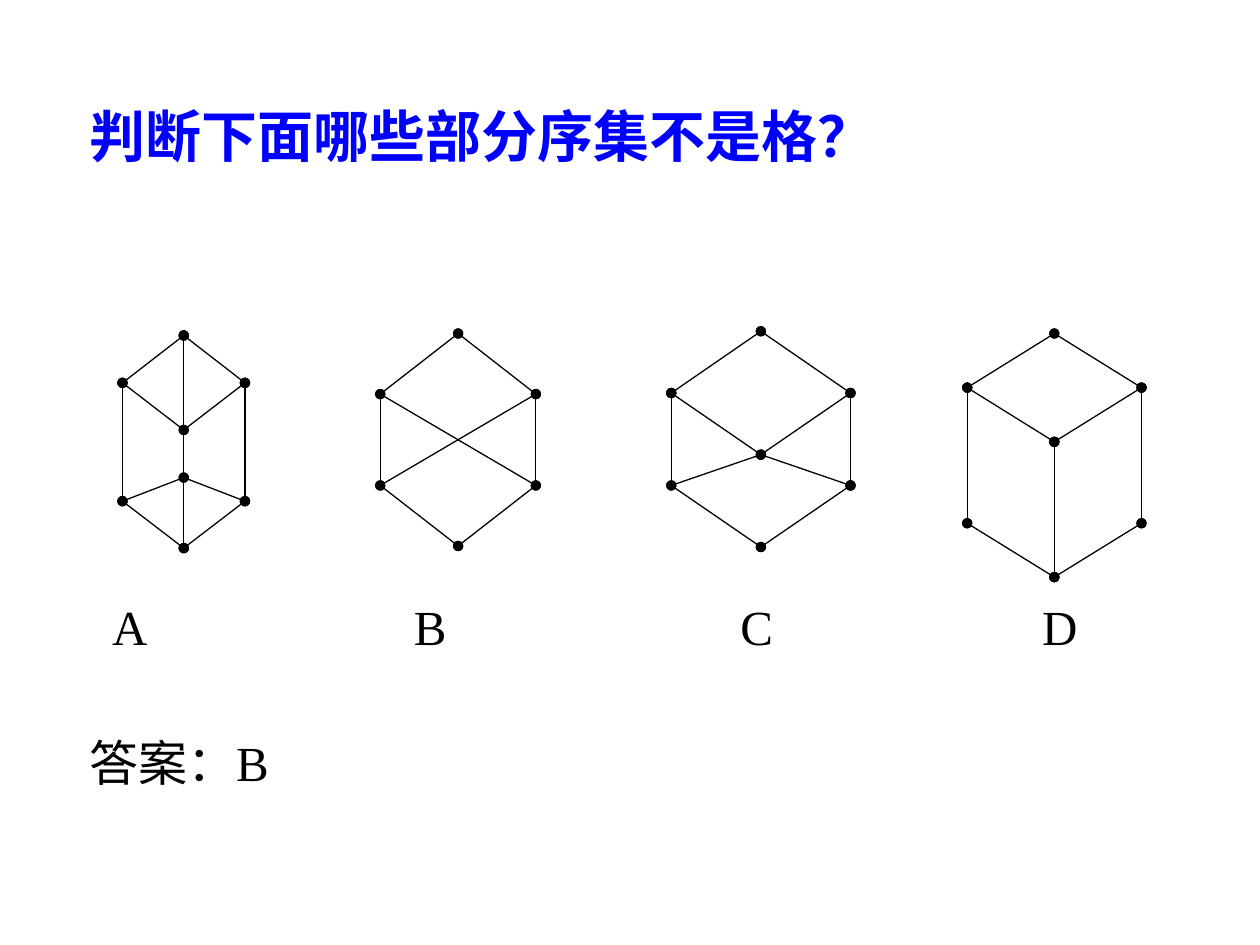
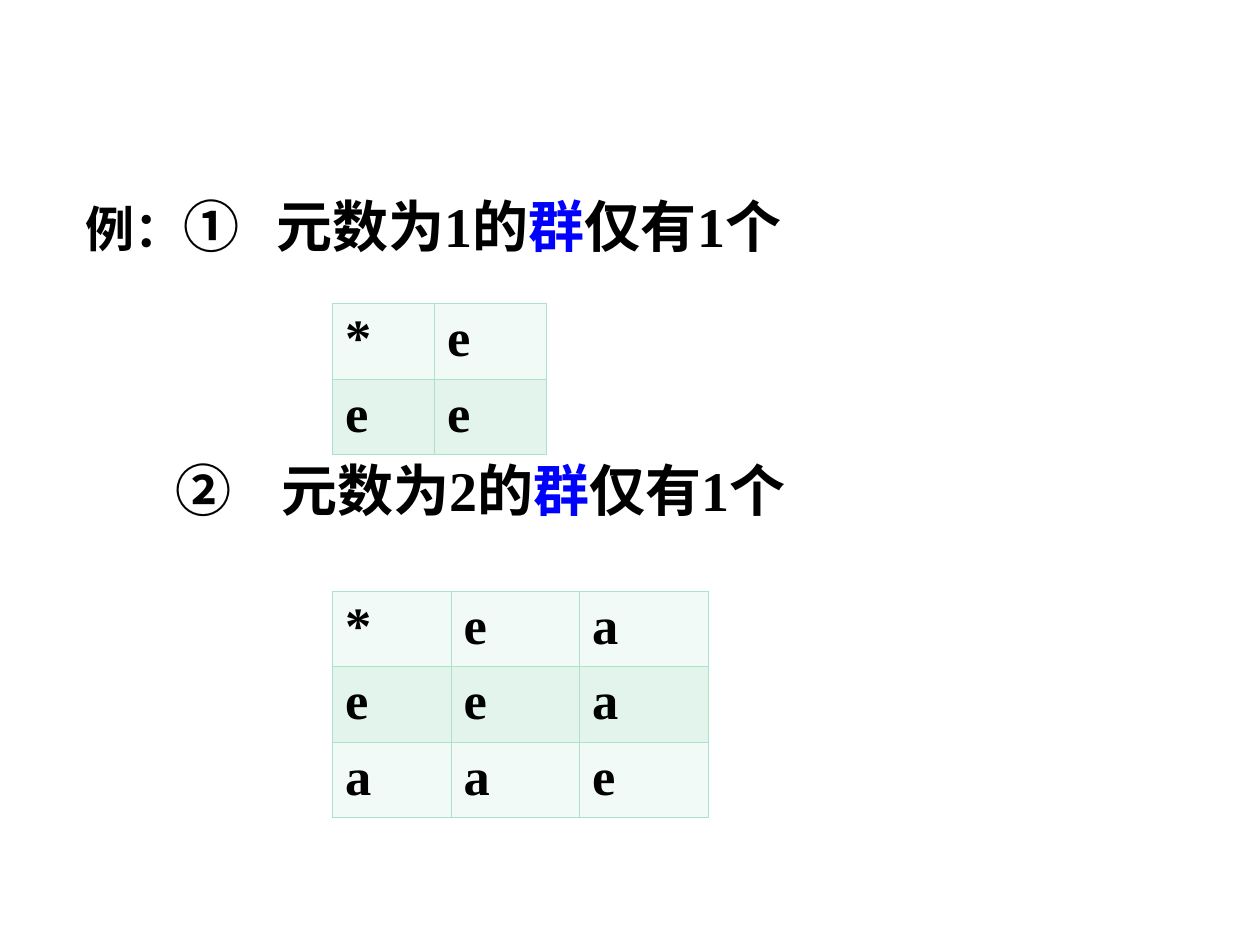
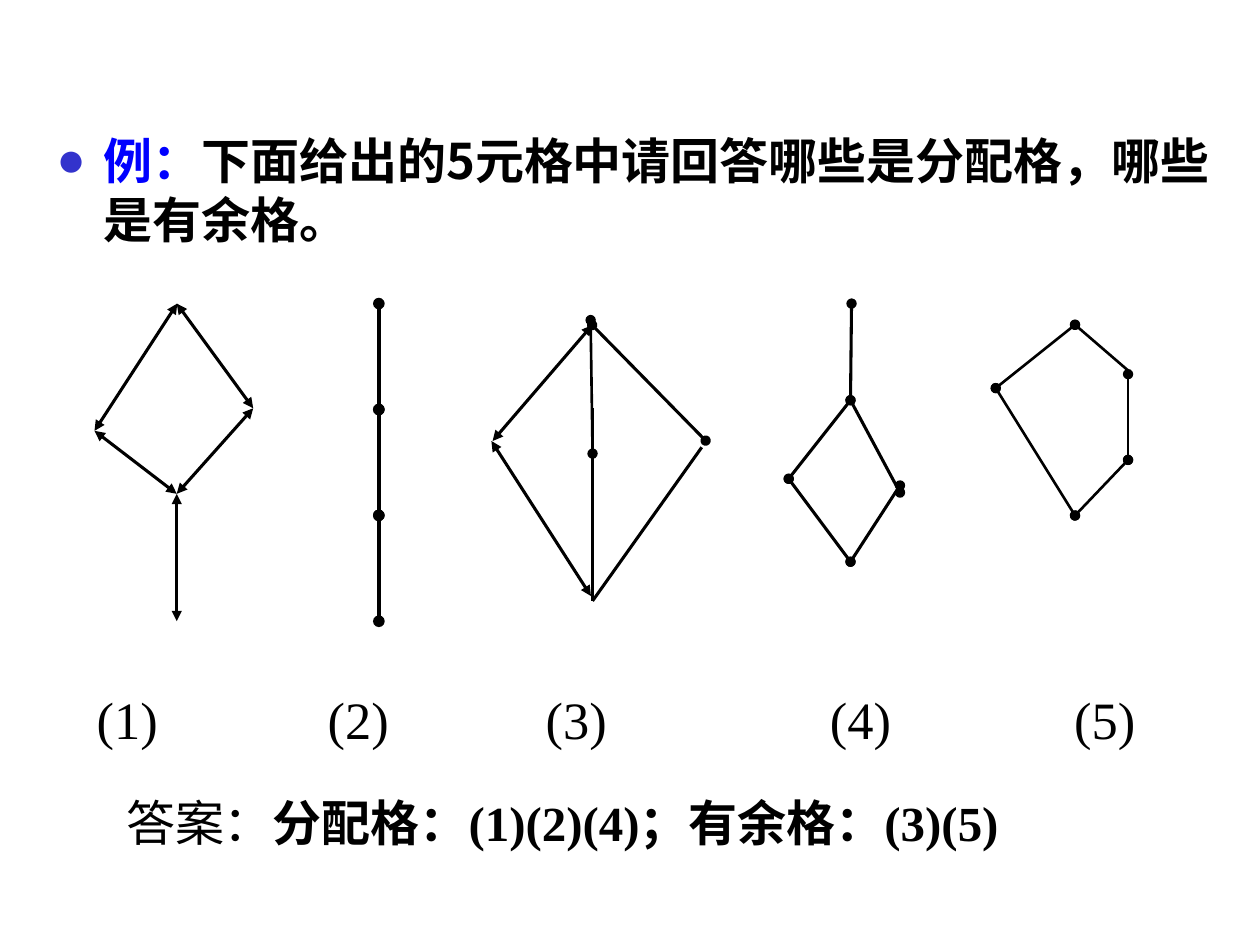
"""Build three slides on lattices and small groups."""
from lxml import etree
from pptx import Presentation
from pptx.dml.color import RGBColor as Rgb
from pptx.enum.shapes import MSO_CONNECTOR as Connector
from pptx.enum.text import MSO_ANCHOR as Anchor, MSO_AUTO_SIZE as AutoSize, PP_ALIGN as Align
from pptx.oxml.ns import qn
from pptx.util import Pt

COLORS = {"ink": "000000", "accent": "0000FF", "bullet": "3333CC",
          "border": "AAE2CA", "light": "F1FAF6", "tint": "E2F4EC"}
SANS, SERIF = "Noto Sans CJK SC", "Times New Roman"


def write_spans(para, spans, stops=()):
    if stops:
        tabs = etree.SubElement(para._p.get_or_add_pPr(), qn("a:tabLst"))
        for stop in stops:
            etree.SubElement(tabs, qn("a:tab"), pos=str(Pt(stop)), algn="l")
    for text, size, color, bold, font in spans:
        span = para.add_run()
        span.text = text
        span.font.size = Pt(size)
        span.font.bold = bold
        span.font.color.rgb = Rgb.from_string(COLORS[color])
        span.font.name = font
        etree.SubElement(span._r.get_or_add_rPr(), qn("a:ea"), typeface=SANS)


def draw_edge(group, start, end, width, head, tail):
    edge = group.shapes.add_connector(Connector.STRAIGHT, *map(Pt, start + end))
    edge.line.width = Pt(width)
    edge.line.color.rgb = Rgb.from_string(COLORS["ink"])
    for tag, kind in (("a:headEnd", head), ("a:tailEnd", tail)):
        etree.SubElement(edge.line._get_or_add_ln(), qn(tag), type=kind)
    etree.SubElement(edge._element.spPr, qn("a:effectLst"))


deck = Presentation()
deck.slide_width, deck.slide_height = Pt(720), Pt(540)
poset_page = deck.slides.add_slide(deck.slide_layouts[5])
group_page = deck.slides.add_slide(deck.slide_layouts[6])
lattice_page = deck.slides.add_slide(deck.slide_layouts[6])

title = poset_page.shapes.title
title.left, title.top, title.width, title.height = Pt(44), Pt(42), Pt(631), Pt(70)
title.text_frame.auto_size = AutoSize.NONE
title.text_frame.vertical_anchor = Anchor.MIDDLE
title_para = title.text_frame.paragraphs[0]
title_para.alignment = Align.LEFT
write_spans(title_para, [("判断下面哪些部分序集不是格？", 32, "accent", True, SANS)])

# Each node is named by its column and row digits.
posets = [
    ((70, 105, 140), (191.7, 218.8, 245.7, 272.9, 286.4, 313.2),
     "10-01 10-21 01-04 10-15 21-24 01-12 21-12 04-13 24-13 04-15 24-15", ""),
    ((217.3, 261.8, 306.2), (190.6, 225.2, 277.4, 312),
     "10-01 10-21 01-02 21-22 02-13 22-13", "01-22 02-21"),
    ((383.6, 434.8, 486), (189.3, 224.6, 259.8, 277.4, 312.6),
     "10-01 10-21 01-03 21-23 03-14 23-14 12-23 12-21 12-01", "03-12"),
    ((552.7, 602.5, 652.3), (190.6, 221.5, 252.5, 299, 329.8),
     "10-01 10-21 01-03 12-14 21-23 01-12 21-12 03-14 23-14", ""),
]
for columns, rows, dotted, plain in posets:
    figure = poset_page.shapes.add_group_shape()
    for edges, ending in ((dotted, "oval"), (plain, "none")):
        for pair in edges.split():
            start, end = [(columns[int(node[0])], rows[int(node[1])])
                          for node in pair.split("-")]
            draw_edge(figure, start, end, 0.75, ending, ending)

tables = [
    (173.5, (58.3, 64.1), ("*e", "ee")),
    (337.7, (67.7, 73.5, 73.5), ("*ea", "eea", "aae")),
]
for top, widths, rows in tables:
    frame = group_page.shapes.add_table(len(rows), len(widths), Pt(190), Pt(top),
                                        Pt(sum(widths)), Pt(43.2 * len(rows)))
    table = frame.table
    table.first_row = table.horz_banding = False
    for column, width in zip(table.columns, widths):
        column.width = Pt(width)
    for row_index, symbols in enumerate(rows):
        table.rows[row_index].height = Pt(43.2)
        for column_index, symbol in enumerate(symbols):
            cell = table.cell(row_index, column_index)
            for side in "LRTB":
                border = etree.SubElement(cell._tc.get_or_add_tcPr(), qn("a:ln" + side),
                                          w=str(Pt(0.45)))
                fill = etree.SubElement(border, qn("a:solidFill"))
                etree.SubElement(fill, qn("a:srgbClr"), val=COLORS["border"])
            cell.fill.solid()
            cell.fill.fore_color.rgb = Rgb.from_string(COLORS[("light", "tint")[row_index % 2]])
            write_spans(cell.text_frame.paragraphs[0], [(symbol, 30, "ink", True, SERIF)])

lattices = [
    (1.75, "triangle", "triangle", [
        ((54, 246.2), (101, 282.2)), ((101, 282.2), (101, 355)),
        ((54, 246.2), (101.3, 173.5)), ((101, 173.5), (144.7, 233.3)),
        ((144.7, 233.3), (101, 282.2))]),
    (2.25, "oval", "oval", [
        ((216.5, 173.5 + 60.5 * step), (216.5, 234 + 60.5 * step)) for step in range(3)]),
    (1.75, "triangle", "triangle", [
        ((338.4, 185.8), (281.5, 252)), ((280.8, 252), (337.7, 340.6))]),
    (1.75, "oval", "oval", [((338.4, 185.8), (403.2, 251.8))]),
    (1.75, "none", "none", [
        ((401, 255.6), (338.6, 343.4)), ((338.6, 233.3), (338.6, 343.4))]),
    (1.5, "oval", "oval", [((337.5, 182.9), (338.6, 259.2))]),
    (1.75, "oval", "oval", [
        ((450.7, 273.6), (486, 321)), ((450.7, 273.6), (486, 228.7)),
        ((486, 228.7), (514.3, 281.5)), ((514.3, 277.4), (486, 321))]),
    (1.75, "none", "oval", [((486, 228.7), (486.6, 173.5))]),
    (1.5, "oval", "oval", [
        ((614.3, 185.6), (569, 221.8)), ((644.6, 213.8), (644.6, 262.8)),
        ((569, 221.8), (614.3, 294.6)), ((644.6, 262.8), (614.3, 294.6))]),
    (1.5, "oval", "none", [((614.3, 185.6), (644.6, 211.7))]),
]
for width, head, tail, edges in lattices:
    figure = lattice_page.shapes.add_group_shape()
    for start, end in edges:
        draw_edge(figure, start, end, width, head, tail)

texts = [
    (poset_page, (57, 337.5, 620, 40), (172.5, 359, 531.5),
     [("A\tB\tC\tD", 28, "ink", False, SERIF)]),
    (poset_page, (44, 415, 300, 42), (), [("答案：B", 28, "ink", False, SERIF)]),
    (group_page, (42, 106, 640, 46), (109,),
     [("例：", 28, "ink", True, SERIF), ("①\t元数为1的", 32, "ink", True, SERIF),
      ("群", 32, "accent", True, SERIF), ("仅有1个", 32, "ink", True, SERIF)]),
    (group_page, (93, 257, 589, 46), (60.5,),
     [("②\t元数为2的", 32, "ink", True, SERIF),
      ("群", 32, "accent", True, SERIF), ("仅有1个", 32, "ink", True, SERIF)]),
    (lattice_page, (65, 449.3, 580, 75), (),
     [("答案：", 28, "ink", False, SERIF),
      ("分配格：(1)(2)(4)；有余格：(3)(5)", 28, "ink", True, SERIF)]),
    (lattice_page, (48.2, 388.8, 623.5, 43.2), (132, 256.5, 419, 558.5),
     [("(1)\t(2)\t(3)\t(4)\t(5)", 30, "ink", False, SERIF)]),
]
for page, bounds, stops, spans in texts:
    box = page.shapes.add_textbox(*map(Pt, bounds))
    box.text_frame.word_wrap = True
    write_spans(box.text_frame.paragraphs[0], spans, stops)

question = lattice_page.shapes.add_textbox(Pt(25.2), Pt(71.3), Pt(676), Pt(317.5))
question.text_frame.word_wrap = True
question_para = question.text_frame.paragraphs[0]
props = question_para._p.get_or_add_pPr()
props.set("marL", str(Pt(27)))
props.set("indent", str(Pt(-27)))
bullet_color = etree.SubElement(props, qn("a:buClr"))
etree.SubElement(bullet_color, qn("a:srgbClr"), val=COLORS["bullet"])
etree.SubElement(props, qn("a:buFont"), typeface=SERIF)
etree.SubElement(props, qn("a:buChar"), char="●")
write_spans(question_para, [
    ("例：", 28, "accent", True, SANS),
    ("下面给出的5元格中请回答哪些是分配格，哪些是有余格。", 28, "ink", True, SANS)])

deck.save("out.pptx")
